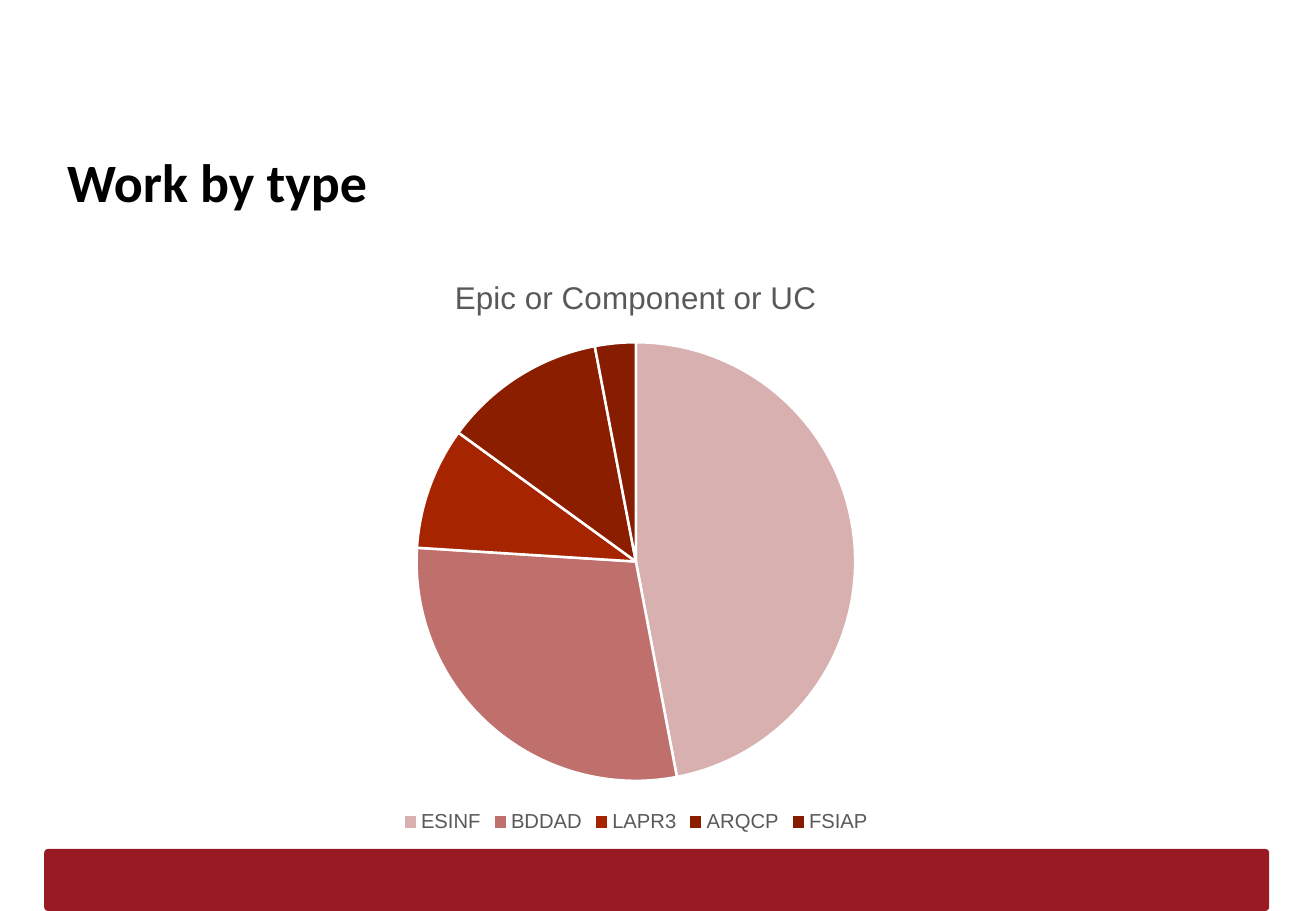
from dataclasses import dataclass

from pptx import Presentation
from pptx.chart.data import CategoryChartData as ChartData
from pptx.dml.color import RGBColor
from pptx.enum.chart import XL_CHART_TYPE as Kind, XL_LEGEND_POSITION as Spot
from pptx.enum.shapes import MSO_SHAPE as Form
from pptx.enum.text import MSO_ANCHOR as Anchor, MSO_AUTO_SIZE as Fit, PP_ALIGN as Align
from pptx.util import Emu, Pt

SCALE = 9525  # EMU per px, 96 px to the inch

BLACK = RGBColor(0x00, 0x00, 0x00)
WHITE = RGBColor(0xFF, 0xFF, 0xFF)
GREY = RGBColor(0x59, 0x59, 0x59)
WINE = RGBColor(0x9A, 0x1A, 0x24)


def px(n: int) -> Emu:
    return Emu(n * SCALE)


@dataclass
class Box:
    left: int
    top: int
    width: int
    height: int

    def emu(self) -> tuple[Emu, ...]:
        return px(self.left), px(self.top), px(self.width), px(self.height)


@dataclass
class Slice:
    name: str
    value: int
    color: RGBColor


SLICES = [
    Slice("ESINF", 47, RGBColor(0xD7, 0xB0, 0xAF)),
    Slice("BDDAD", 29, RGBColor(0xBF, 0x70, 0x6C)),
    Slice("LAPR3", 9, RGBColor(0xA7, 0x24, 0x00)),
    Slice("ARQCP", 12, RGBColor(0x8C, 0x1E, 0x00)),
    Slice("FSIAP", 3, RGBColor(0x87, 0x1D, 0x00)),
]


def style(font, name: str, size: float, color: RGBColor, bold: bool = False) -> None:
    font.name, font.size, font.bold = name, Pt(size), bold
    font.color.rgb = color


def add_bar(slide, box: Box) -> None:
    bar = slide.shapes.add_shape(Form.ROUNDED_RECTANGLE, *box.emu())
    bar.adjustments[0] = 0.06
    bar.shadow.inherit = False
    bar.fill.solid()
    bar.fill.fore_color.rgb = WINE
    bar.line.fill.background()


def set_title(slide, box: Box, text: str) -> None:
    title = slide.shapes.title
    title.left, title.top, title.width, title.height = box.emu()
    frame = title.text_frame
    frame.word_wrap = True
    frame.auto_size = Fit.NONE
    frame.vertical_anchor = Anchor.TOP
    frame.margin_left = frame.margin_right = frame.margin_bottom = px(10)
    frame.margin_top = px(12)
    para = frame.paragraphs[0]
    para.alignment = Align.LEFT
    run = para.add_run()
    run.text = text
    style(run.font, "Calibri", 32, BLACK, bold=True)


def add_pie(slide, box: Box, head: str, slices: list[Slice]) -> None:
    data = ChartData()
    data.categories = [part.name for part in slices]
    data.add_series("Series 1", [part.value for part in slices])
    chart = slide.shapes.add_chart(Kind.PIE, *box.emu(), data).chart
    style(chart.font, "Arial", 10, BLACK)

    # Heading
    chart.has_title = True
    chart.chart_title.include_in_layout = False
    run = chart.chart_title.text_frame.paragraphs[0].add_run()
    run.text = head
    style(run.font, "Arial", 18.6, GREY)

    # Legend
    chart.has_legend = True
    chart.legend.position = Spot.BOTTOM
    chart.legend.include_in_layout = False
    style(chart.legend.font, "Arial", 12, GREY)

    # Slices
    plot = chart.plots[0]
    plot.vary_by_categories = True
    for i, part in enumerate(slices):
        look = plot.series[0].points[i].format
        look.fill.solid()
        look.fill.fore_color.rgb = part.color
        look.line.color.rgb = WHITE
        look.line.width = Pt(1.5)


def main() -> None:
    deck = Presentation()
    deck.slide_width, deck.slide_height = px(1040), px(720)
    slide = deck.slides.add_slide(deck.slide_layouts[5])
    slide.background.fill.solid()
    slide.background.fill.fore_color.rgb = WHITE

    add_bar(slide, Box(35, 671, 968, 49))
    set_title(slide, Box(43, 105, 949, 60), "Work by type")
    add_pie(slide, Box(156, 200, 693, 462), "Epic or Component or UC", SLICES)
    deck.save("out.pptx")


if __name__ == "__main__":
    main()
